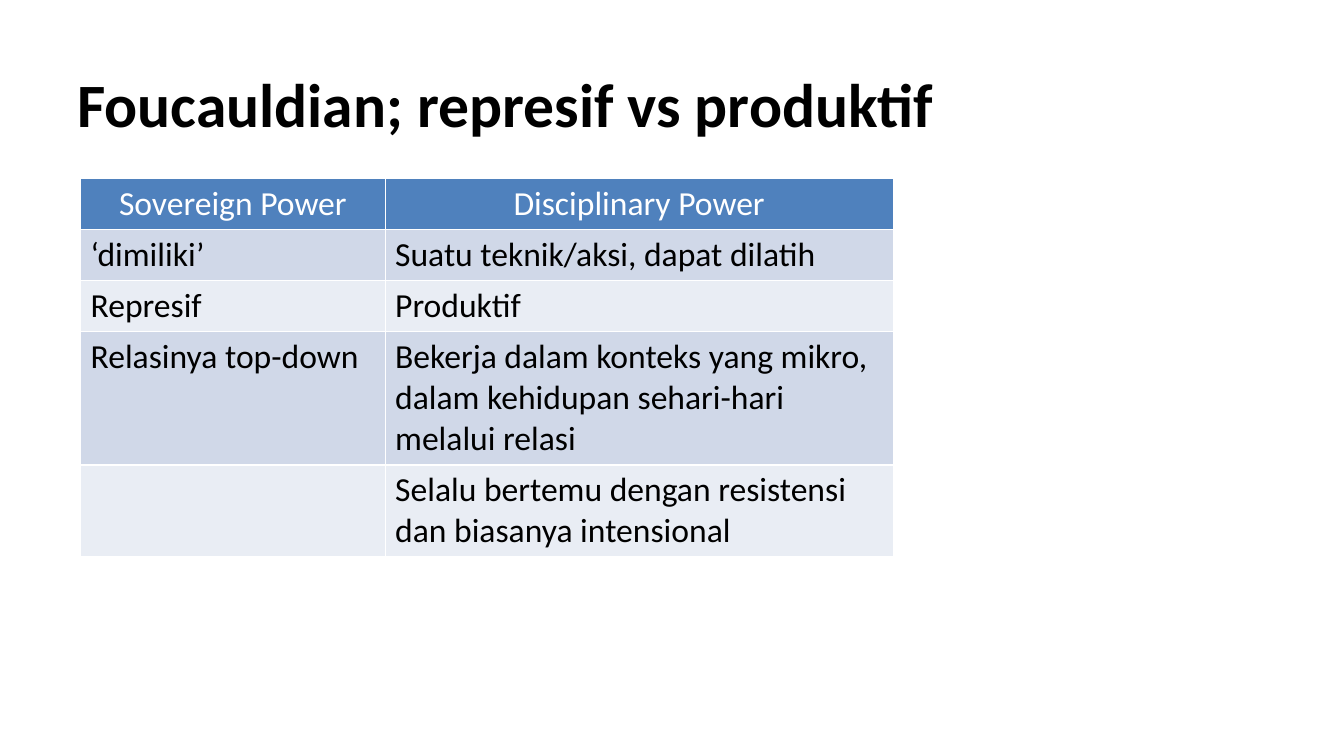
from pptx import Presentation
from pptx.dml.color import RGBColor
from pptx.enum.text import MSO_ANCHOR, PP_ALIGN
from pptx.util import Pt

TITLE = "Foucauldian; represif vs produktif"
POWERS = [
    ("Sovereign Power", "Disciplinary Power"),
    ("‘dimiliki’", "Suatu teknik/aksi, dapat dilatih"),
    ("Represif", "Produktif"),
    ("Relasinya top-down",
     "Bekerja dalam konteks yang mikro, dalam kehidupan sehari-hari melalui relasi"),
    ("", "Selalu bertemu dengan resistensi dan biasanya intensional"),
]
COLUMN_WIDTHS = (217.5, 363)
ROW_HEIGHTS = (36, 36, 36, 91, 63)
HEADER_FILL = "4F81BD"
BAND_FILLS = ("E9EDF4", "D0D8E8")


def color(value):
    """Turn a hex string into a colour."""
    return RGBColor.from_string(value)


def format_paragraph(paragraph, size, ink, align, bold=False):
    """Set the font and alignment of a paragraph."""
    paragraph.alignment = align
    paragraph.font.name = "Calibri"
    paragraph.font.size = Pt(size)
    paragraph.font.bold = bold
    paragraph.font.color.rgb = color(ink)


def add_title(slide):
    """Place and format the slide title."""
    title = slide.shapes.title
    title.left, title.top, title.width, title.height = Pt(48), Pt(36), Pt(864), Pt(75.6)
    heading = title.text_frame
    heading.text = TITLE
    heading.word_wrap = True
    heading.vertical_anchor = MSO_ANCHOR.MIDDLE
    format_paragraph(heading.paragraphs[0], 44, "000000", PP_ALIGN.LEFT, bold=True)


def fill_cell(cell, text, row):
    """Write one cell with the look of its row."""
    cell.text = text
    cell.fill.solid()
    cell.fill.fore_color.rgb = color(BAND_FILLS[row % 2] if row else HEADER_FILL)
    ink, align = ("000000", PP_ALIGN.LEFT) if row else ("FFFFFF", PP_ALIGN.CENTER)
    format_paragraph(cell.text_frame.paragraphs[0], 24, ink, align)


def add_comparison(slide):
    """Add the table that compares both kinds of power."""
    comparison = slide.shapes.add_table(
        len(POWERS), len(COLUMN_WIDTHS), Pt(57.6), Pt(127.5),
        Pt(sum(COLUMN_WIDTHS)), Pt(sum(ROW_HEIGHTS))).table
    for column, width in zip(comparison.columns, COLUMN_WIDTHS):
        column.width = Pt(width)
    for row, (texts, height) in enumerate(zip(POWERS, ROW_HEIGHTS)):
        comparison.rows[row].height = Pt(height)
        for column, text in enumerate(texts):
            fill_cell(comparison.cell(row, column), text, row)


def main():
    """Build and save the slide."""
    presentation = Presentation()
    presentation.slide_width, presentation.slide_height = Pt(960), Pt(540)
    slide = presentation.slides.add_slide(presentation.slide_layouts[5])
    add_title(slide)
    add_comparison(slide)
    presentation.save("out.pptx")


main()
